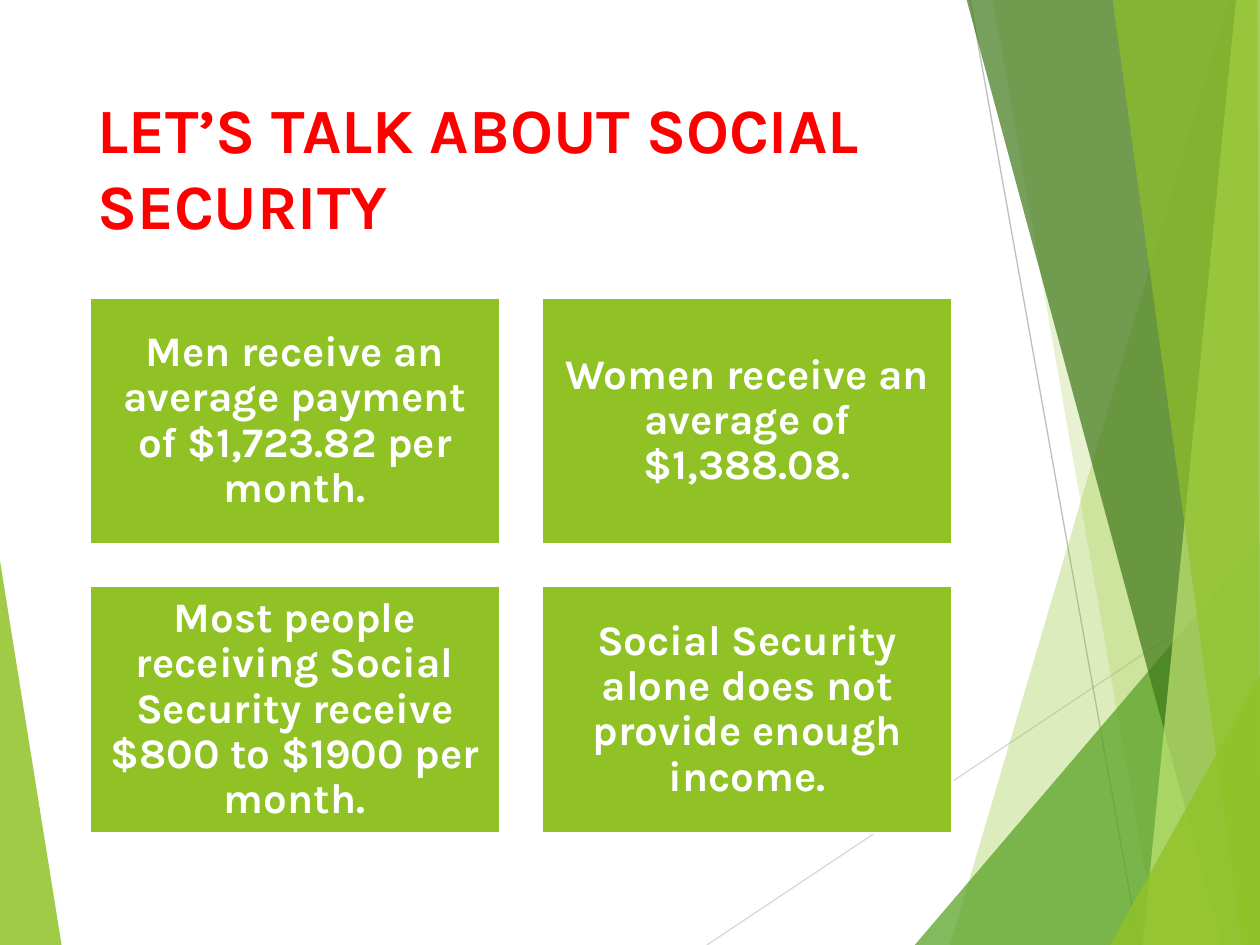
from lxml import etree
from pptx import Presentation, util as u
from pptx.dml.color import RGBColor
from pptx.enum import shapes as sh, text as tx
from pptx.oxml.ns import qn

W, H = u.Inches(10), u.Inches(7.5)
FONT = "Karla"
GREEN = "90C226"

# Facets: fill, opacity %, corners in % of slide width and height
FACETS = [
    (GREEN, 85, [(-0.1, 58.5), (4.9, 100.1), (-0.1, 100)]),
    (GREEN, 30, [(97.5, 0), (75.4, 100), (100.2, 100.1), (100.1, 0)]),
    (GREEN, 20, [(78.8, -0.1), (91.9, 100), (100.1, 100), (100.1, -0.1)]),
    ("54A021", 72, [(72.6, 100), (100, 57.2), (100.1, 100)]),
    ("3F7819", 70, [(76.7, -0.1), (97, 100), (100.1, 100), (100.1, -0.1)]),
    ("C0E474", 70, [(98.1, -0.1), (90.7, 100), (100.1, 100), (100, -0.1)]),
    (GREEN, 65, [(88.3, -0.1), (98.6, 100), (100, 100), (99.8, -0.1)]),
    (GREEN, 80, [(88.1, 100), (100.1, 71.3), (100.1, 100)]),
]
# Thin lines: colour, start, end in the same shares
LINES = [
    ("D9D9D9", (56.1, 100), (100.1, 60.9)),
    ("BFBFBF", (77, 0), (90.4, 100)),
]
FACTS = [
    "Men receive an average payment of $1,723.82 per month.",
    "Women receive an average of $1,388.08.",
    "Most people receiving Social Security receive $800 to $1900 per month.",
    "Social Security alone does not provide enough income.",
]


def rgb(code):
    return RGBColor.from_string(code)


def share(x, y):
    return round(W * x / 100), round(H * y / 100)


def paint(shape, code):
    shape.shadow.inherit = False
    shape.fill.solid()
    shape.fill.fore_color.rgb = rgb(code)


def write(para, words, size, code):
    run = para.add_run()
    run.text = words
    font = run.font
    font.name, font.size, font.bold = FONT, u.Pt(size), True
    font.color.rgb = rgb(code)


def add_facet(slide, code, alpha, spots):
    first, *rest = [share(*spot) for spot in spots]
    pen = slide.shapes.build_freeform(*first)
    pen.add_line_segments(rest, close=True)
    facet = pen.convert_to_shape()
    paint(facet, code)
    facet.line.fill.background()
    tint = facet.fill._xPr.find(qn("a:solidFill"))[0]
    etree.SubElement(tint, qn("a:alpha"), val=str(alpha * 1000))


def add_line(slide, code, start, end):
    line = slide.shapes.add_connector(
        sh.MSO_CONNECTOR.STRAIGHT, *share(*start), *share(*end))
    line.line.color.rgb = rgb(code)
    line.line.width = u.Pt(0.75)
    etree.SubElement(line._element.spPr, qn("a:effectLst"))


def add_decor(slide):
    add_facet(slide, *FACETS[0])
    for line in LINES:
        add_line(slide, *line)
    for facet in FACETS[1:]:
        add_facet(slide, *facet)


def add_title(slide, box, words):
    title = slide.shapes.title
    title.left, title.top, title.width, title.height = box
    frame = title.text_frame
    frame.word_wrap = True
    frame.auto_size = tx.MSO_AUTO_SIZE.NONE
    frame.vertical_anchor = tx.MSO_ANCHOR.TOP
    para = frame.paragraphs[0]
    para.alignment = tx.PP_ALIGN.LEFT
    write(para, words, 36, "FF0000")


def add_card(slide, box, words):
    card = slide.shapes.add_shape(sh.MSO_SHAPE.RECTANGLE, *box)
    paint(card, GREEN)
    card.line.color.rgb = rgb("FFFFFF")
    card.line.width = u.Pt(1.5)
    frame = card.text_frame
    frame.word_wrap = True
    frame.vertical_anchor = tx.MSO_ANCHOR.MIDDLE
    frame.margin_left = frame.margin_right = u.Inches(0.1)
    frame.margin_top = frame.margin_bottom = u.Inches(0.1)
    para = frame.paragraphs[0]
    para.alignment = tx.PP_ALIGN.CENTER
    para.line_spacing = 0.9
    write(para, words, 24, "FFFFFF")


def add_cards(slide, box, facts, cols=2):
    left, top, width, height = box
    gap = u.Inches(0.33)
    rows = -(-len(facts) // cols)
    wide = (width - gap * (cols - 1)) // cols
    high = (height - gap * (rows - 1)) // rows
    for i, words in enumerate(facts):
        row, col = divmod(i, cols)
        spot = left + col * (wide + gap), top + row * (high + gap)
        add_card(slide, (*spot, wide, high), words)


def main():
    deck = Presentation()
    deck.slide_width, deck.slide_height = W, H
    slide = deck.slides.add_slide(deck.slide_layouts[5])
    add_decor(slide)
    add_title(slide, (*share(6.7, 8.93), *share(69.4, 19.2)),
              "LET’S TALK ABOUT SOCIAL SECURITY")
    add_cards(slide, (*share(7.1, 31.47), *share(68.5, 56.67)), FACTS)
    deck.save("out.pptx")


if __name__ == "__main__":
    main()
